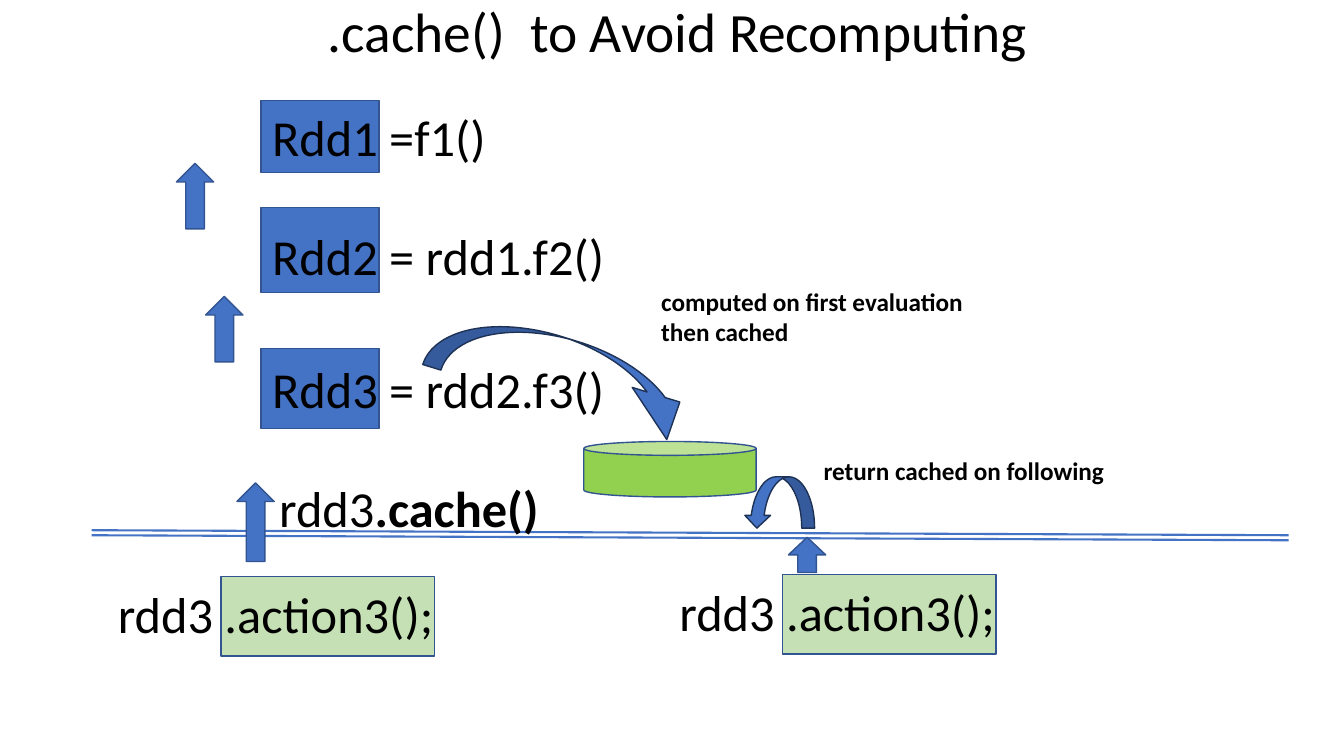
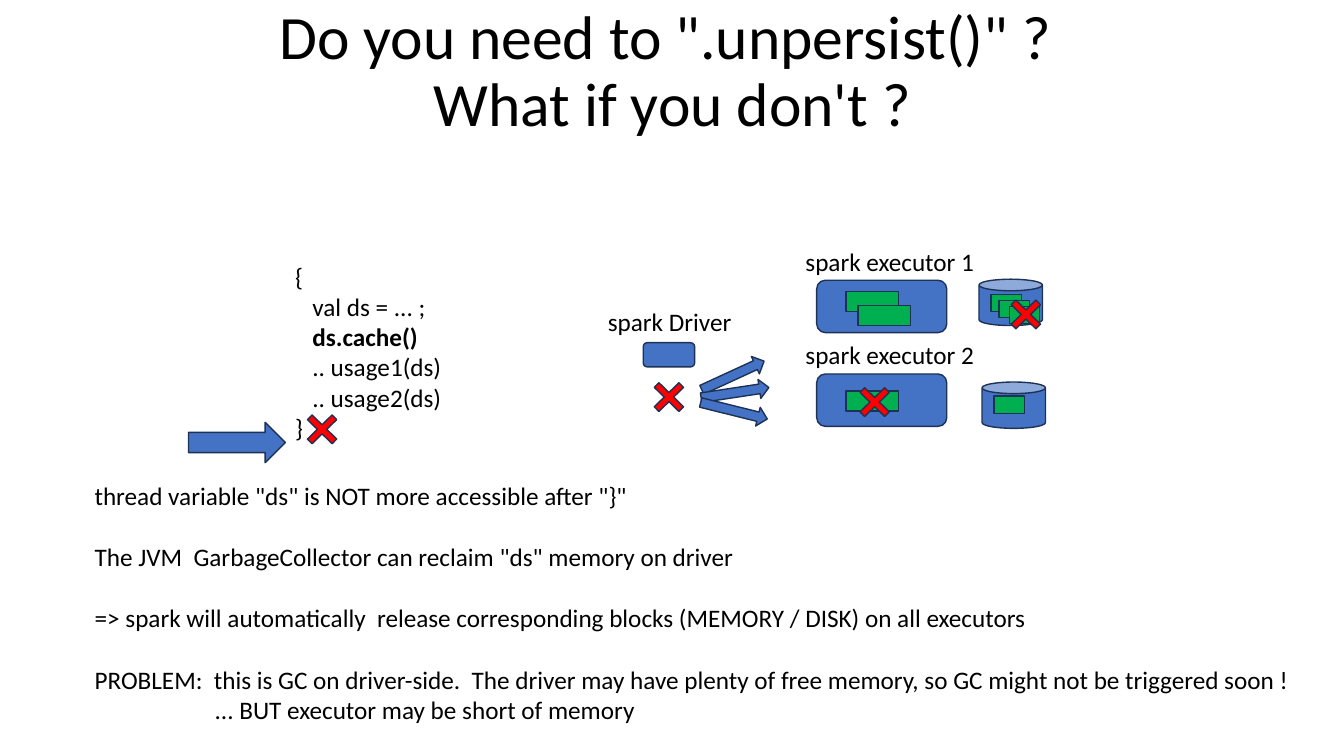
"""Build two slides about caching and unpersisting datasets."""
import pptx
import pptx.util
import pptx.dml.color
import pptx.enum.shapes
import pptx.enum.text
import pptx.oxml.ns
import lxml.etree

Inches = pptx.util.Inches
Pt = pptx.util.Pt
RGBColor = pptx.dml.color.RGBColor
SHAPE = pptx.enum.shapes.MSO_SHAPE

FONT = "Calibri"
BLACK = RGBColor(0x00, 0x00, 0x00)
BLUE = RGBColor(0x44, 0x72, 0xC4)
EDGE = RGBColor(0x32, 0x54, 0x91)
DARK_EDGE = RGBColor(0x1E, 0x32, 0x56)
LIME = RGBColor(0x92, 0xD0, 0x50)
PALE_GREEN = RGBColor(0xC5, 0xE0, 0xB4)
GREEN = RGBColor(0x00, 0xB0, 0x50)
RED = RGBColor(0xFF, 0x00, 0x00)


def inches(box):
    """Convert numbers to lengths in inches."""
    return [Inches(value) for value in box]


def style_font(font, size, bold=False):
    """Apply the shared typeface and colour."""
    font.name = FONT
    font.size = Pt(size)
    font.bold = bold
    font.color.rgb = BLACK


def add_titled_slide(deck, title, box, size):
    """Add a title-only slide with a centred title."""
    slide = deck.slides.add_slide(deck.slide_layouts[5])
    heading = slide.shapes.title
    heading.left, heading.top, heading.width, heading.height = inches(box)
    frame = heading.text_frame
    frame.text = title
    frame.auto_size = pptx.enum.text.MSO_AUTO_SIZE.NONE
    frame.vertical_anchor = pptx.enum.text.MSO_ANCHOR.MIDDLE
    paragraph = frame.paragraphs[0]
    paragraph.alignment = pptx.enum.text.PP_ALIGN.CENTER
    paragraph.line_spacing = 0.9
    for run in paragraph.runs:
        style_font(run.font, size)
    return slide


def add_shape(slide, kind, box, fill=BLUE, edge=DARK_EDGE, rotation=0, adjustments=()):
    """Add a filled and outlined preset shape."""
    shape = slide.shapes.add_shape(kind, *inches(box))
    shape.shadow.inherit = False
    shape.fill.solid()
    shape.fill.fore_color.rgb = fill
    shape.line.color.rgb = edge
    shape.line.width = Pt(1)
    shape.rotation = rotation
    for index, value in enumerate(adjustments):
        shape.adjustments[index] = value
    return shape


def add_text(slide, box, lines, size=18, bold=False, bold_part=None):
    """Add left-aligned lines, with an optional bold ending, and return the paragraphs."""
    frame = slide.shapes.add_textbox(*inches(box)).text_frame
    frame.word_wrap = True
    frame.text = "\n".join(lines)
    for paragraph, line in zip(frame.paragraphs, lines):
        if bold_part and line.endswith(bold_part):
            paragraph.text = line.removesuffix(bold_part)
            paragraph.add_run().text = bold_part
        for run in paragraph.runs:
            style_font(run.font, size, bold or run.text == bold_part)
    return frame.paragraphs


def add_rule(slide, start, end):
    """Add a thin blue line without a shadow."""
    rule = slide.shapes.add_connector(
        pptx.enum.shapes.MSO_CONNECTOR.STRAIGHT, *inches(start + end))
    rule.line.color.rgb = BLUE
    rule.line.width = Pt(1.5)
    lxml.etree.SubElement(rule._element.spPr, pptx.oxml.ns.qn("a:effectLst"))


def add_action(slide, left, top):
    """Add an action call with its highlighted method."""
    add_shape(slide, SHAPE.RECTANGLE, (left + 1.12, top - 0.02, 2.12, 0.79), PALE_GREEN, EDGE)
    add_text(slide, (left, top, 3.4, 0.71), ["rdd3 .action3();"], 36)


def add_cross(slide, left, top):
    """Add a red cross marking released memory."""
    add_shape(slide, SHAPE.MATH_MULTIPLY, (left, top, 0.47, 0.46), RED, adjustments=[0.142])


def build_cache_slide(deck):
    """Show how cached results avoid recomputing."""
    slide = add_titled_slide(deck, ".cache()  to Avoid Recomputing", (0.97, 0, 11.5, 0.68), 39.6)
    for top in (5.26, 5.31):
        add_rule(slide, (0.91, top), (12.78, top + 0.05))
    add_shape(slide, SHAPE.CAN, (5.79, 4.38, 1.71, 0.55), LIME, EDGE)

    definitions = [
        ("Rdd1 =f1()", 1, 1, 0.71),
        ("Rdd2 = rdd1.f2()", 2.18, 2.06, 0.84),
        ("Rdd3 = rdd2.f3()", 3.5, 3.46, 0.79),
    ]
    for definition, text_top, box_top, height in definitions:
        add_shape(slide, SHAPE.RECTANGLE, (2.59, box_top, 1.17, height), edge=EDGE)
        add_text(slide, (2.6, text_top, 3.6, 0.71), [definition], 36)
    add_text(slide, (2.67, 4.68, 2.79, 0.71), ["rdd3.cache()"], 36, bold_part=".cache()")
    for left, top in ((1.07, 5.74), (6.64, 5.72)):
        add_action(slide, left, top)

    for left, top, height in (
            (1.75, 1.62, 0.65), (2.04, 2.94, 0.65), (2.35, 4.79, 0.78), (7.82, 5.33, 0.35)):
        add_shape(slide, SHAPE.UP_ARROW, (left, top, 0.37, height), edge=EDGE)

    add_shape(slide, SHAPE.CURVED_DOWN_ARROW, (4.23, 3.37, 2.78, 0.67),
              rotation=17.1, adjustments=[0.281, 0.737, 0.588])
    return_arrow = add_shape(slide, SHAPE.CURVED_DOWN_ARROW, (7.38, 4.73, 0.7, 0.51))
    return_arrow._element.spPr.xfrm.set("flipH", "1")
    add_text(slide, (6.46, 2.79, 3.3, 0.71),
             ["computed on first evaluation", "then cached"], bold=True)
    add_text(slide, (8.07, 4.47, 3.1, 0.4), ["return cached on following"], bold=True)


def add_cluster(slide):
    """Draw the driver, the executors and their stored blocks."""
    add_text(slide, (5.93, 2.99, 1.54, 0.4), ["spark Driver"])
    add_shape(slide, SHAPE.ROUNDED_RECTANGLE, (6.38, 3.4, 0.51, 0.24))
    for number, disk_left, disk_top in ((1, 9.71, 2.77), (2, 9.74, 3.79)):
        top = 2.39 + 0.93 * (number - 1)
        add_text(slide, (7.89, top, 2.04, 0.4), [f"spark executor {number}"])
        add_shape(slide, SHAPE.ROUNDED_RECTANGLE, (8.1, top + 0.39, 1.29, 0.52))
        add_shape(slide, SHAPE.CAN, (disk_left, disk_top, 0.63, 0.46))

    for left, top in ((8.39, 2.89), (8.51, 3.03), (8.39, 3.88)):
        add_shape(slide, SHAPE.RECTANGLE, (left, top, 0.52, 0.2), GREEN)
    for left, top in ((9.83, 2.92), (9.91, 2.98), (10.01, 3.04), (9.86, 3.93)):
        add_shape(slide, SHAPE.RECTANGLE, (left, top, 0.3, 0.17), GREEN)
    for left, top, rotation in ((6.93, 3.63, 335.3), (6.95, 3.8, 351.4), (6.94, 3.98, 13.9)):
        add_shape(slide, SHAPE.RIGHT_ARROW, (left, top, 0.68, 0.19), rotation=rotation)


def build_unpersist_slide(deck):
    """Show what happens without an explicit unpersist."""
    slide = add_titled_slide(
        deck, "Do you need to \".unpersist()\" ? \vWhat if you don't ?", (0.92, 0, 11.5, 1.45), 44)
    add_text(slide, (2.83, 2.54, 1.8, 1.92), [
        "{",
        "   val ds = ... ;",
        "   ds.cache()",
        "   .. usage1(ds)",
        "   .. usage2(ds)",
        "}",
    ], bold_part="ds.cache()")
    add_shape(slide, SHAPE.RIGHT_ARROW, (1.87, 4.19, 0.96, 0.4))

    add_cluster(slide)
    for left, top in ((8.44, 3.76), (9.94, 2.89), (2.96, 4.03), (6.4, 3.71)):
        add_cross(slide, left, top)

    remarks = add_text(slide, (0.84, 4.72, 12.2, 2.83), [
        "thread variable \"ds\" is NOT more accessible after \"}\"",
        "The JVM  GarbageCollector can reclaim \"ds\" memory on driver",
        "=> spark will automatically  release corresponding blocks (MEMORY / DISK) on all executors",
        "PROBLEM:  this is GC on driver-side.  The driver may have plenty of free memory, "
        "so GC might not be triggered soon !",
        "... BUT executor may be short of memory",
    ])
    for remark in remarks[1:-1]:
        remark.space_before = Pt(22)
    remarks[-1]._p.get_or_add_pPr().set("marL", str(Inches(1.19)))


def main():
    """Build and save the presentation."""
    deck = pptx.Presentation()
    deck.slide_width = Inches(13.33)
    deck.slide_height = Inches(7.5)
    build_cache_slide(deck)
    build_unpersist_slide(deck)
    deck.save("out.pptx")


if __name__ == "__main__":
    main()
